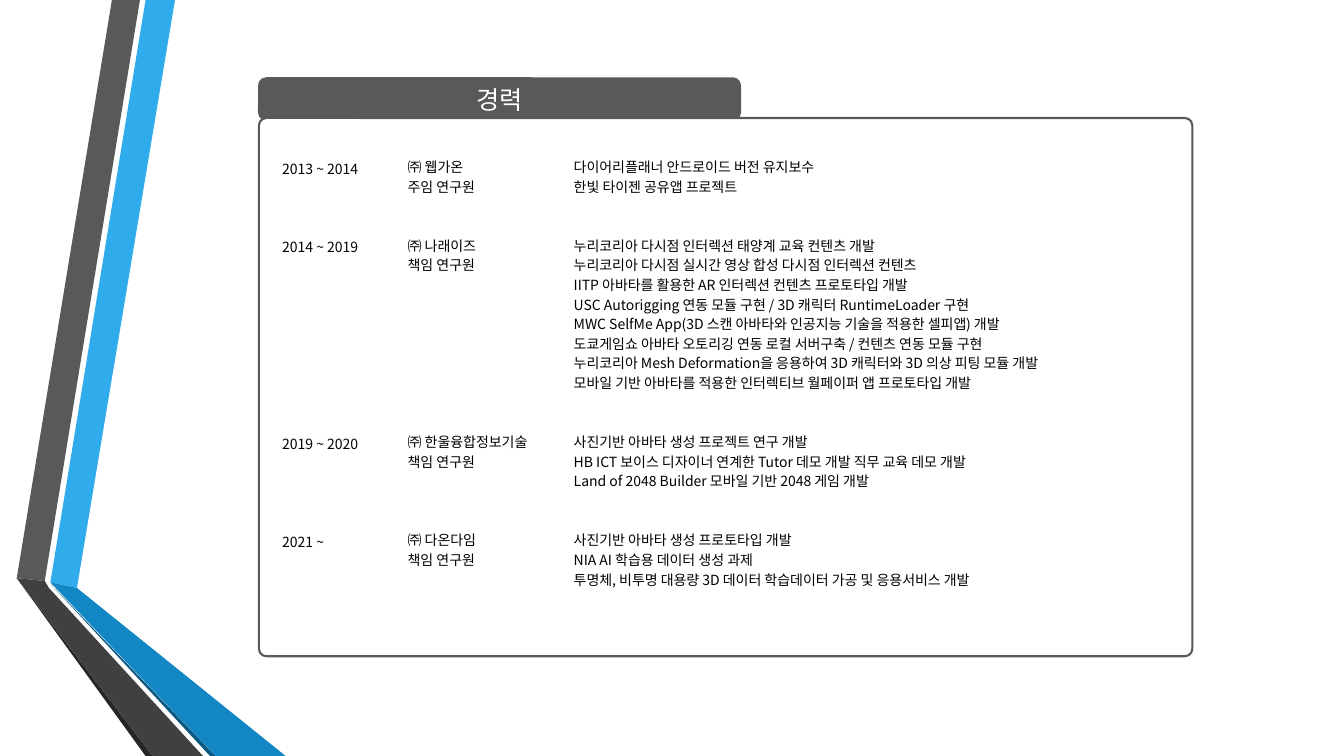
import pptx
import pptx.util
import pptx.dml.color
import pptx.enum.shapes
import pptx.enum.text

Pt = pptx.util.Pt
RGB = pptx.dml.color.RGBColor
SHAPE = pptx.enum.shapes.MSO_SHAPE
ALIGN = pptx.enum.text.PP_ALIGN
ANCHOR = pptx.enum.text.MSO_ANCHOR

# Content
TITLE = "경력"
JOBS = [
    ("2013 ~ 2014", ["㈜ 웹가온", "주임 연구원"], [
        "다이어리플래너 안드로이드 버전 유지보수",
        "한빛 타이젠 공유앱 프로젝트",
    ]),
    ("2014 ~ 2019", ["㈜ 나래이즈", "책임 연구원"], [
        "누리코리아 다시점 인터렉션 태양계 교육 컨텐츠 개발",
        "누리코리아 다시점 실시간 영상 합성 다시점 인터렉션 컨텐츠",
        "IITP 아바타를 활용한 AR 인터렉션 컨텐츠 프로토타입 개발",
        "USC Autorigging 연동 모듈 구현 / 3D 캐릭터 RuntimeLoader 구현",
        "MWC SelfMe App(3D 스캔 아바타와 인공지능 기술을 적용한 셀피앱) 개발",
        "도쿄게임쇼 아바타 오토리깅 연동 로컬 서버구축 / 컨텐츠 연동 모듈 구현",
        "누리코리아 Mesh Deformation을 응용하여 3D 캐릭터와 3D 의상 피팅 모듈 개발",
        "모바일 기반 아바타를 적용한 인터렉티브 월페이퍼 앱 프로토타입 개발",
    ]),
    ("2019 ~ 2020", ["㈜ 한울융합정보기술", "책임 연구원"], [
        "사진기반 아바타 생성 프로젝트 연구 개발",
        "HB ICT 보이스 디자이너 연계한 Tutor 데모 개발 직무 교육 데모 개발",
        "Land of 2048 Builder 모바일 기반 2048 게임 개발",
    ]),
    ("2021 ~", ["㈜ 다온다임", "책임 연구원"], [
        "사진기반 아바타 생성 프로토타입 개발",
        "NIA AI 학습용 데이터 생성 과제",
        "투명체, 비투명 대용량 3D 데이터 학습데이터 가공 및 응용서비스 개발",
    ]),
]

# Look
FONT = "Noto Sans CJK KR"
BLACK = RGB(0x00, 0x00, 0x00)
WHITE = RGB(0xFF, 0xFF, 0xFF)
GREY = RGB(0x59, 0x59, 0x59)
SLATE = RGB(0x40, 0x40, 0x40)
COAL = RGB(0x26, 0x26, 0x26)
SKY = RGB(0x30, 0xAC, 0xEC)
BLUE = RGB(0x12, 0x87, 0xC3)
NAVY = RGB(0x0C, 0x5A, 0x82)

WIDE, HIGH = 960, 540
PITCH = 14.04
GAP = 2  # empty lines between jobs

# Ribbon bands: colour and corners
BANDS = [
    (SKY, [(36, 416.2), (55.4, 419.8), (124.6, 0), (104.4, 0)]),
    (GREY, [(100, 0), (80, 0), (11.8, 412.6), (31.7, 415.4)]),
    (COAL, [(11.8, 412.6), (104.4, HIGH), (108.7, HIGH)]),
    (NAVY, [(36, 416.9), (149.8, HIGH), (154.1, HIGH)]),
    (BLUE, [(36, 416.2), (154.1, HIGH), (203.8, HIGH), (55.4, 419.8)]),
    (SLATE, [(145.4, HIGH), (34.6, 419.8), (31.7, 415.4), (11.8, 412.6),
             (108.7, HIGH)]),
]

deck = pptx.Presentation()
deck.slide_width, deck.slide_height = Pt(WIDE), Pt(HIGH)
slide = deck.slides.add_slide(deck.slide_layouts[6])
shapes = slide.shapes


def style(run, size, color):
    run.font.name = FONT
    run.font.size = Pt(size)
    run.font.color.rgb = color


def clear(frame):
    frame.margin_left = frame.margin_right = 0
    frame.margin_top = frame.margin_bottom = 0


def add_card(box, adj, fill, width):
    card = shapes.add_shape(SHAPE.ROUNDED_RECTANGLE, *map(Pt, box))
    card.adjustments[0] = adj
    card.shadow.inherit = False
    card.fill.solid()
    card.fill.fore_color.rgb = fill
    card.line.color.rgb = GREY
    card.line.width = Pt(width)
    return card


def add_list(left, top, width, groups):
    """Write groups of (first row, lines) on a shared line grid."""
    box = shapes.add_textbox(Pt(left), Pt(top), Pt(width), Pt(346))
    frame = box.text_frame
    frame.word_wrap = True
    clear(frame)
    row = 0
    for start, lines in groups:
        for num, line in enumerate(lines, start):
            para = frame.add_paragraph() if row else frame.paragraphs[0]
            para.text = line
            para.line_spacing = Pt(PITCH)
            para.space_before = Pt(round((num - row) * PITCH, 2))
            style(para.runs[0], 10, BLACK)
            row = num + 1


# Ribbon
for color, dots in BANDS:
    pen = shapes.build_freeform(*dots[0], scale=Pt(1))
    pen.add_line_segments(dots[1:], close=True)
    band = pen.convert_to_shape()
    band.shadow.inherit = False
    band.fill.solid()
    band.fill.fore_color.rgb = color
    band.line.fill.background()

# Title tab and panel
tab = add_card((185.8, 56.7, 342, 28.1), 0.16, GREY, 3)
frame = tab.text_frame
clear(frame)
frame.vertical_anchor = ANCHOR.MIDDLE
frame.text = TITLE
frame.paragraphs[0].alignment = ALIGN.CENTER
style(frame.paragraphs[0].runs[0], 18, WHITE)
add_card((185, 84.3, 666.7, 384.5), 0.014, WHITE, 1.5)

# Career columns: the longest list of each job sets the next row
dates, roles, tasks = [], [], []
row = 0
for date, role, work in JOBS:
    dates.append((row, [date]))
    roles.append((row, role))
    tasks.append((row, work))
    row += max(len(role), len(work)) + GAP

add_list(201.6, 112.4, 86, dates)
add_list(291.2, 111.2, 100, roles)
add_list(409.8, 111.2, 411, tasks)

deck.save("out.pptx")
